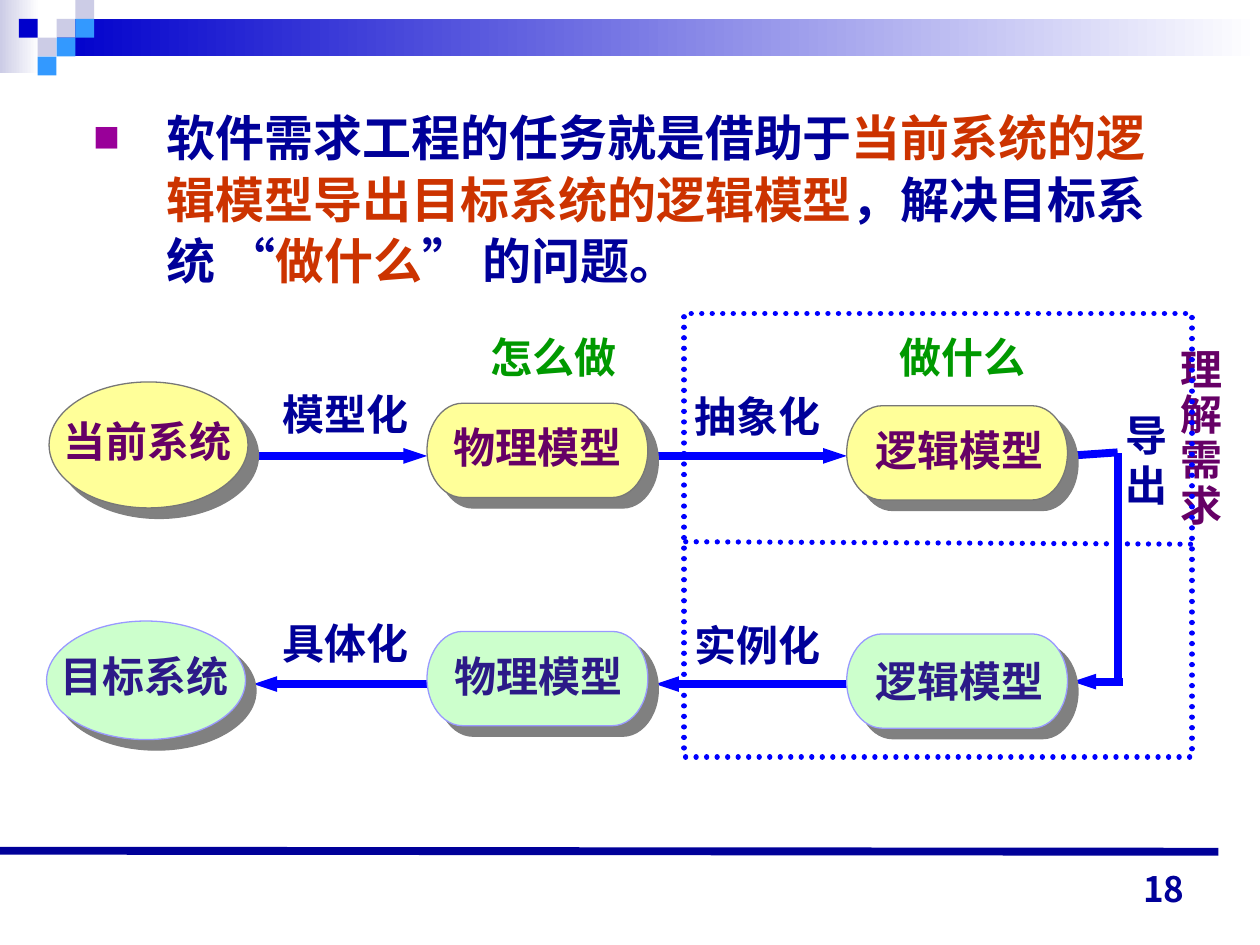
from lxml import etree
from pptx import Presentation
from pptx.dml.color import RGBColor
from pptx.enum.dml import MSO_LINE
from pptx.enum.shapes import MSO_CONNECTOR, MSO_SHAPE
from pptx.enum.text import MSO_ANCHOR, MSO_AUTO_SIZE, PP_ALIGN
from pptx.oxml import parse_xml
from pptx.oxml.ns import nsdecls, qn
from pptx.util import Cm, Pt

NAVY, BLUE, RED, PURPLE, GREEN = "000099", "0000FF", "CC3300", "660066", "009900"
CJK = "Noto Sans CJK SC"
color = RGBColor.from_string

deck = Presentation()
deck.slide_width, deck.slide_height = Cm(25.4), Cm(19.05)
slide = deck.slides.add_slide(deck.slide_layouts[1])
shapes = slide.shapes
title = shapes.title
title.element.getparent().remove(title.element)


def add_run(paragraph, text, size, hue, face=CJK):
    run = paragraph.add_run()
    run.text = text
    run.font.size, run.font.bold = Pt(size), True
    run.font.color.rgb = color(hue)
    run.font.name = face
    etree.SubElement(run.font._element, qn("a:ea")).set("typeface", face)


def add_line(x1, y1, x2, y2, hue=BLUE, width=4.5, arrow=False):
    line = shapes.add_connector(MSO_CONNECTOR.STRAIGHT, Cm(x1), Cm(y1), Cm(x2), Cm(y2))
    line.line.color.rgb = color(hue)
    line.line.width = Pt(width)
    etree.SubElement(line._element.spPr, qn("a:effectLst"))
    if arrow:
        tail = etree.SubElement(line.line._get_or_add_ln(), qn("a:tailEnd"))
        tail.set("type", "triangle")
        tail.set("w", "sm")
        tail.set("len", "med")
    return line


for left, top, width, height, hue in [(0, 0, 0.79, 1.47, "CCCCE6"), (1.14, 0.38, 24.26, 0.76, "0000CC")]:
    band = shapes.add_shape(MSO_SHAPE.RECTANGLE, Cm(left), Cm(top), Cm(width), Cm(height))
    band.shadow.inherit = False
    band.line.fill.background()
    band.fill.gradient()
    band.fill.gradient_angle = 0
    start, end = band.fill.gradient_stops
    start.color.rgb, end.color.rgb = color(hue), color("FFFFFF")
    start.position, end.position = 0, 1

TILE = 0.38
for column, row, hue in [
    (3, 1, "CCCCE6"), (4, 0, "CCCCE6"), (4, 1, "3399FF"), (2, 2, "CCCCE6"),
    (1, 1, "0000CC"), (3, 2, "3399FF"), (2, 3, "3399FF"),
]:
    tile = shapes.add_shape(MSO_SHAPE.RECTANGLE, Cm(column * TILE), Cm(row * TILE), Cm(TILE), Cm(TILE))
    tile.shadow.inherit = False
    tile.fill.solid()
    tile.fill.fore_color.rgb = color(hue)
    tile.line.fill.background()

add_line(0, 17.15, 24.56, 17.17, NAVY)

task = slide.placeholders[1]
task.left, task.top, task.width, task.height = Cm(1.63), Cm(1.98), Cm(22), Cm(4.19)
task.text_frame.auto_size = MSO_AUTO_SIZE.NONE
statement = task.text_frame.paragraphs[0]
properties = statement._p.get_or_add_pPr()
properties.set("marL", str(Cm(1.48)))
properties.set("indent", str(Cm(-1.48)))
for bullet in [
    '<a:buClr {}><a:srgbClr val="990099"/></a:buClr>',
    '<a:buSzPct {} val="55000"/>',
    '<a:buFont {} typeface="Noto Sans CJK SC"/>',
    '<a:buChar {} char="■"/>',
]:
    properties.append(parse_xml(bullet.format(nsdecls("a"))))
statement.line_spacing = 1.05
statement.space_before = Pt(0)
for words, hue in [
    ("软件需求工程的任务就是借助于", NAVY),
    ("当前系统的逻辑模型导出目标系统的逻辑模型", RED),
    ("，解决目标系统 “", NAVY),
    ("做什么", RED),
    ("” 的问题。", NAVY),
]:
    add_run(statement, words, 28, hue)

add_line(21.51, 9.19, 22.53, 9.12)
for x1, x2, y in [
    (13.06, 17.07, 9.19), (5, 8.61, 9.19),
    (22.63, 21.62, 13.74), (17.07, 13.21, 13.79), (8.61, 5.11, 13.79),
]:
    add_line(x1, y, x2, y, arrow=True)

OVAL, PILL = MSO_SHAPE.OVAL, MSO_SHAPE.FLOWCHART_TERMINATOR
for kind, left, top, width, height, fill, edge in [
    (OVAL, 0.94, 12.52, 4.01, 2.39, "CCFFCC", "9999FF"),
    (OVAL, 0.99, 7.7, 4.01, 2.54, "FFFF99", "777777"),
    (PILL, 8.61, 8.13, 4.45, 1.9, "FFFF99", "777777"),
    (PILL, 17.07, 8.18, 4.45, 1.9, "FFFF99", "777777"),
    (PILL, 8.61, 12.73, 4.45, 1.9, "CCFFCC", "9999FF"),
    (PILL, 17.07, 12.78, 4.45, 1.9, "CCFFCC", "9999FF"),
]:
    node = shapes.add_shape(kind, Cm(left), Cm(top), Cm(width), Cm(height))
    node.fill.solid()
    node.fill.fore_color.rgb = color(fill)
    node.line.color.rgb = color(edge)
    node.line.width = Pt(0.75)
    node.shadow.inherit = False
    shade = etree.SubElement(node._element.spPr.find(qn("a:effectLst")), qn("a:outerShdw"))
    shade.set("dist", str(Pt(8.5)))
    shade.set("dir", "2700000")
    shade.set("algn", "ctr")
    shade.set("rotWithShape", "0")
    etree.SubElement(shade, qn("a:srgbClr")).set("val", "808080")

add_line(22.53, 13.74, 22.53, 9.14)

INDIGO = "2C1A88"
for lines, left, top, width, height, hue, spacing in [
    (["目标系统"], 0.97, 12.98, 3.89, 1.27, INDIGO, 1),
    (["当前系统"], 1.02, 8.26, 3.89, 1.27, PURPLE, 1),
    (["物理模型"], 8.89, 8.38, 3.89, 1.27, PURPLE, 1),
    (["逻辑模型"], 17.39, 8.43, 3.89, 1.27, PURPLE, 1),
    (["物理模型"], 8.92, 12.98, 3.89, 1.27, INDIGO, 1),
    (["逻辑模型"], 17.39, 13.08, 3.89, 1.27, INDIGO, 1),
    (["模型化"], 5.44, 7.7, 3.05, 1.27, NAVY, 1),
    (["抽象化"], 13.74, 7.75, 3.05, 1.27, NAVY, 1),
    (["具体化"], 5.44, 12.32, 3.05, 1.27, NAVY, 1),
    (["实例化"], 13.74, 12.37, 3.05, 1.27, NAVY, 1),
    (["理", "解", "需", "求"], 23.55, 6.91, 1.35, 3.91, PURPLE, 0.9),
    (["导", "出"], 22.43, 8.13, 1.35, 2.29, NAVY, 1),
    (["怎么做"], 9.63, 6.55, 3.05, 1.27, GREEN, 1),
    (["做什么"], 17.88, 6.55, 3.05, 1.27, GREEN, 1),
]:
    label = shapes.add_textbox(Cm(left), Cm(top), Cm(width), Cm(height)).text_frame
    label.word_wrap = False
    label.auto_size = MSO_AUTO_SIZE.SHAPE_TO_FIT_TEXT
    for index, words in enumerate(lines):
        paragraph = label.add_paragraph() if index else label.paragraphs[0]
        paragraph.alignment = PP_ALIGN.RIGHT
        paragraph.line_spacing = spacing
        add_run(paragraph, words, 24, hue)

scope = shapes.add_shape(MSO_SHAPE.RECTANGLE, Cm(13.79), Cm(6.32), Cm(10.24), Cm(8.94))
scope.shadow.inherit = False
scope.fill.background()
scope.line.color.rgb = color(BLUE)
scope.line.width = Pt(3)
divider = add_line(24, 10.97, 13.79, 10.92, width=3)
for dotted in (scope, divider):
    dotted.line.dash_style = MSO_LINE.ROUND_DOT
    dotted.line._get_or_add_ln().set("cap", "rnd")

number = shapes.add_textbox(Cm(18.21), Cm(17.2), Cm(5.92), Cm(1.27)).text_frame
number.word_wrap = True
number.vertical_anchor = MSO_ANCHOR.BOTTOM
number.paragraphs[0].alignment = PP_ALIGN.RIGHT
add_run(number.paragraphs[0], "18", 20, NAVY, "Noto Sans CJK JP")

deck.save("out.pptx")
